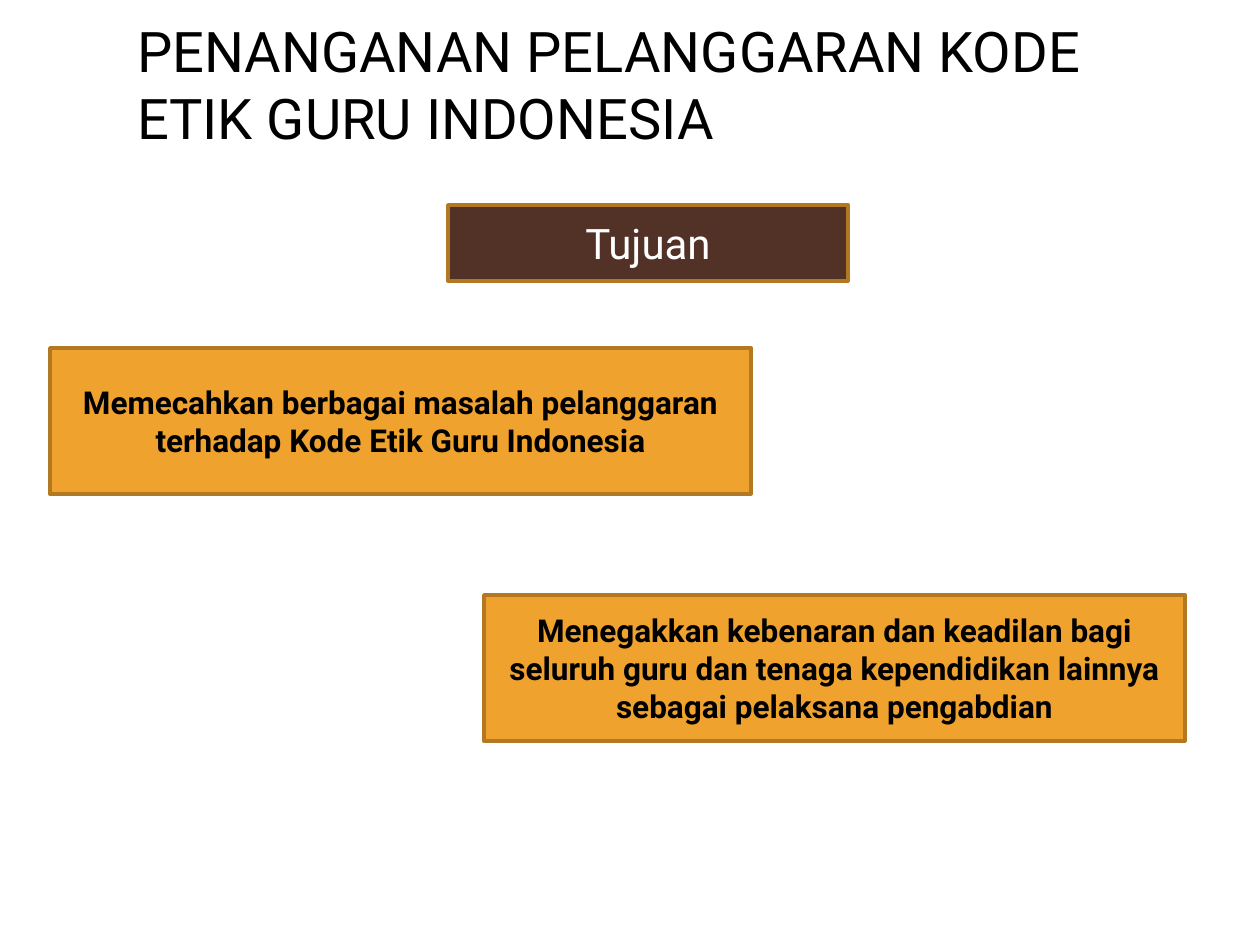
from pptx import Presentation
from pptx.dml.color import RGBColor
from pptx.enum.shapes import MSO_SHAPE as Shape
from pptx.enum.text import MSO_ANCHOR as Anchor, MSO_AUTO_SIZE as AutoSize, PP_ALIGN as Align
from pptx.util import Emu, Pt

EMU_PER_PX = 914400 / 126
FONT = "Roboto"
BLACK = RGBColor(0x00, 0x00, 0x00)
WHITE = RGBColor(0xFF, 0xFF, 0xFF)
BROWN = RGBColor(0x52, 0x32, 0x27)
ORANGE = RGBColor(0xF0, 0xA2, 0x2E)
BORDER = RGBColor(0xB2, 0x78, 0x22)

TITLE = "PENANGANAN PELANGGARAN KODE ETIK GURU INDONESIA"
TITLE_BOX = (58, 9, 1133, 149)
HEADING = "Tujuan"
HEADING_BOX = (448, 205, 400, 76)
GOALS_BOX = (50, 348, 1135, 393)
GOAL_SIZE = (701, 146)
GOALS = [
    "Memecahkan berbagai masalah pelanggaran terhadap Kode Etik Guru Indonesia",
    "Menegakkan kebenaran dan keadilan bagi seluruh guru dan tenaga kependidikan "
    "lainnya sebagai pelaksana pengabdian",
]


def px(length):
    return Emu(round(length * EMU_PER_PX))


def write(shape, text, size, color, align, bold=False):
    frame = shape.text_frame
    frame_format = {
        "word_wrap": True,
        "auto_size": AutoSize.NONE,
        "vertical_anchor": Anchor.MIDDLE,
    }
    for name, value in frame_format.items():
        setattr(frame, name, value)
    paragraph = frame.paragraphs[0]
    paragraph.alignment = align
    run = paragraph.add_run()
    run.text = text
    font_format = {"name": FONT, "size": Pt(size), "bold": bold}
    for name, value in font_format.items():
        setattr(run.font, name, value)
    run.font.color.rgb = color


def place_title(slide, box):
    title = slide.shapes.title
    for name, length in zip(("left", "top", "width", "height"), box):
        setattr(title, name, px(length))
    write(title, TITLE, 32, BLACK, Align.LEFT)
    title.text_frame.margin_left = px(79)


def add_panel(slide, box, fill, text, size, color, bold=False):
    panel = slide.shapes.add_shape(Shape.RECTANGLE, *map(px, box))
    panel.shadow.inherit = False
    panel.fill.solid()
    panel.fill.fore_color.rgb = fill
    panel.line.color.rgb = BORDER
    panel.line.width = Pt(2)
    write(panel, text, size, color, Align.CENTER, bold)


def add_goals(slide, box):
    """Step the goals evenly from the top left to the bottom right of the box."""
    left, top, width, height = box
    goal_width, goal_height = GOAL_SIZE
    steps = len(GOALS) - 1
    for i, goal in enumerate(GOALS):
        x = left + (width - goal_width) * i / steps
        y = top + (height - goal_height) * i / steps
        add_panel(slide, (x, y, goal_width, goal_height), ORANGE, goal, 18, BLACK, bold=True)


def main():
    deck = Presentation()
    deck.slide_width, deck.slide_height = px(1260), px(945)
    slide = deck.slides.add_slide(deck.slide_layouts[5])
    place_title(slide, TITLE_BOX)
    add_panel(slide, HEADING_BOX, BROWN, HEADING, 24, WHITE)
    add_goals(slide, GOALS_BOX)
    deck.save("out.pptx")


if __name__ == "__main__":
    main()
